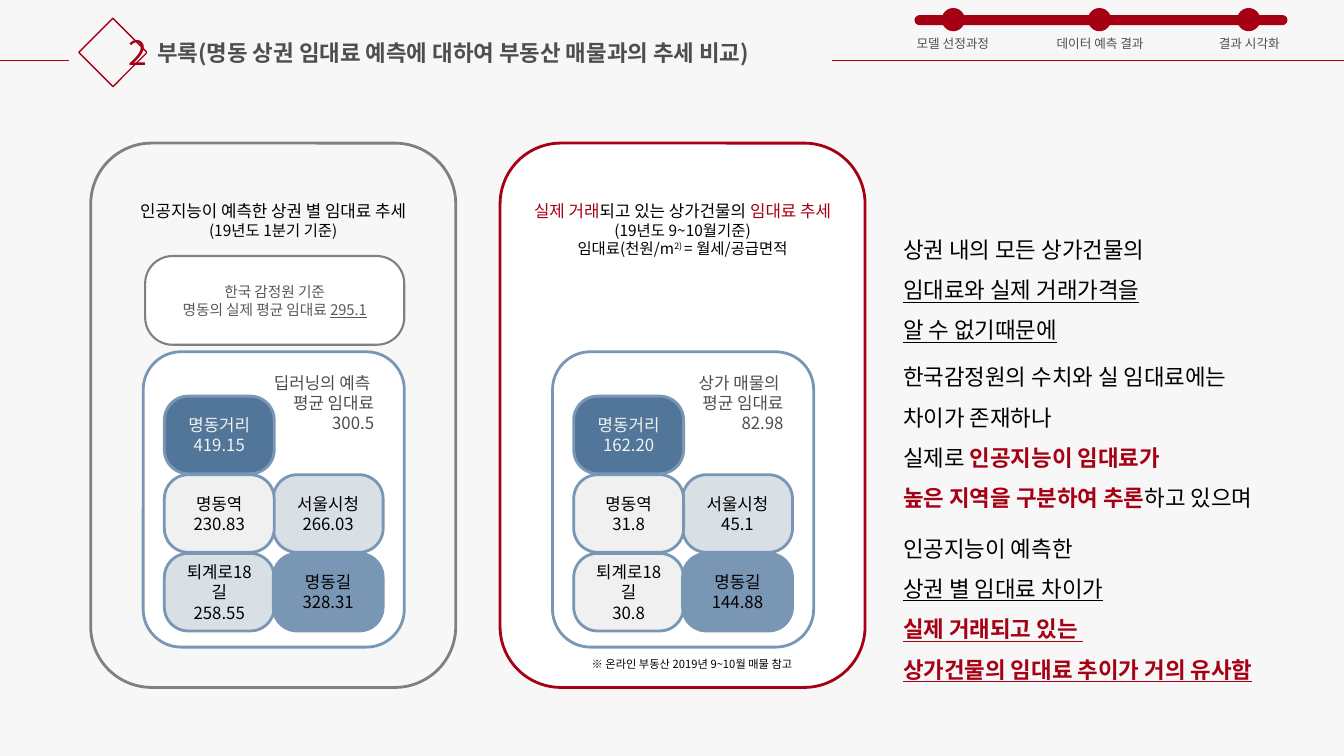
from lxml.etree import SubElement
from pptx import Presentation
from pptx.dml.color import RGBColor
from pptx.enum.shapes import MSO_CONNECTOR, MSO_SHAPE
from pptx.enum.text import MSO_ANCHOR, PP_ALIGN
from pptx.oxml.ns import qn
from pptx.util import Emu, Pt

PX = 9144  # 100 px to the inch
FONT = "Noto Sans CJK KR"
RED, GRAY, BLUE = "A60014", "4E4E4E", "7997B5"
BLACK, WHITE, PAPER = "000000", "FFFFFF", "F7F7F7"
NAVY, PALE, MIST = "517699", "D8E0E6", "F0F0F0"
CENTER, RIGHT = PP_ALIGN.CENTER, PP_ALIGN.RIGHT


def color(value):
    return RGBColor.from_string(value)


def px(*lengths):
    return [Emu(length * PX) for length in lengths]


def add_span(para, text, size, ink, bold=False, underline=False, raised=False):
    span = para.add_run()
    span.text = text
    font = span.font
    font.name, font.size, font.bold, font.underline = FONT, Pt(size), bold, underline
    font.color.rgb = color(ink)
    properties = span._r.get_or_add_rPr()
    SubElement(properties, qn("a:ea")).set("typeface", FONT)
    if raised:
        properties.set("baseline", "30000")


def write(box, lines, size, ink, align=PP_ALIGN.LEFT, anchor=MSO_ANCHOR.TOP,
          spacing=None, gaps=None, wrap=True):
    """Each line is a string or a list of (text, style) spans."""
    frame = box.text_frame
    frame.word_wrap, frame.vertical_anchor = wrap, anchor
    for index, line in enumerate(lines):
        para = frame.add_paragraph() if index else frame.paragraphs[0]
        para.alignment = align
        if spacing:
            para.line_spacing = spacing
        if gaps and index in gaps:
            para.space_before = Pt(gaps[index])
        for text, style in [(line, {})] if isinstance(line, str) else line:
            add_span(para, text, **{"size": size, "ink": ink, **style})


def add_text(page, area, lines, size, ink, **layout):
    write(page.shapes.add_textbox(*px(*area)), lines, size, ink, **layout)


def add_box(page, kind, area, fill=None, line=None, width=2, corner=None):
    box = page.shapes.add_shape(kind, *px(*area))
    box.shadow.inherit = False
    if fill:
        box.fill.solid()
        box.fill.fore_color.rgb = color(fill)
    else:
        box.fill.background()
    if line:
        box.line.color.rgb = color(line)
        box.line.width = Pt(width)
    else:
        box.line.fill.background()
    if corner is not None:
        box.adjustments[0] = corner
    return box


def add_rule(page, start, end, y):
    rule = page.shapes.add_connector(MSO_CONNECTOR.STRAIGHT, *px(start, y, end, y))
    rule.line.color.rgb = color(RED)
    rule.line.width = Pt(0.5)
    SubElement(rule._element.spPr, qn("a:effectLst"))


def add_header(page, left, top, width):
    # Number in a diamond
    diamond = add_box(page, MSO_SHAPE.RECTANGLE, (left + 88, top + 28, 48, 48), line=RED, width=1)
    diamond.rotation = 45
    add_text(page, (left + 118, top + 27, 52, 50), ["2"], 24, RED)
    # Rules and title
    add_rule(page, left + 317, left + width, top + 60)
    add_rule(page, left, left + 68, top + 60)
    title = add_box(page, MSO_SHAPE.RECTANGLE, (left + 146, top + 34, 679, 37), PAPER)
    write(title, [[("부록(명동 상권 임대료 예측에 대하여 부동산 매물과의 추세 비교)", {"bold": True})]],
          16, GRAY)


def add_progress(page, left, top, width):
    # Track with its three stops
    add_box(page, MSO_SHAPE.ROUNDED_RECTANGLE, (left, top + 7, width, 10), RED, corner=0.5)
    stops = [(27, -21, "모델 선정과정"), (172, 125, "데이터 예측 결과"), (320, 273, "결과 시각화")]
    for dot, label, text in stops:
        add_box(page, MSO_SHAPE.OVAL, (left + dot, top, 23, 23), RED)
        add_text(page, (left + label, top + 23, 118, 30), [text], 9, GRAY, align=CENTER)


def add_panel(page, left, top, fill, line, heading, average, tiles):
    rounded = MSO_SHAPE.ROUNDED_RECTANGLE
    add_box(page, rounded, (left, top, 362, 540), fill, line)
    add_text(page, (left + 2, top + 52, 358, 91), heading, 12, BLACK, align=CENTER)
    # Card with the average rent
    add_box(page, rounded, (left + 52, top + 207, 259, 293), WHITE, BLUE, corner=0.145)
    summary = add_box(page, MSO_SHAPE.RECTANGLE, (left + 88, top + 223, 203, 71), WHITE)
    write(summary, average, 12, GRAY, align=RIGHT)
    # District tiles on a grid of two columns and three rows
    for column, row, name, value, tint, ink in tiles:
        area = (left + 73 + column * 108, top + 251 + row * 78, 109, 77)
        tile = add_box(page, rounded, area, tint, BLUE, corner=0.308)
        write(tile, [name, value], 12, ink, align=CENTER, anchor=MSO_ANCHOR.MIDDLE)


def district_tiles(values, toegye_tint):
    places = [(0, 0, "명동거리", NAVY, "F2F2F2"), (1, 1, "서울시청", PALE, BLACK),
              (0, 2, "퇴계로18길", toegye_tint, BLACK), (1, 2, "명동길", BLUE, BLACK),
              (0, 1, "명동역", MIST, BLACK)]
    return [(column, row, name, value, tint, ink)
            for (column, row, name, tint, ink), value in zip(places, values)]


def add_predicted(page, left, top):
    add_panel(page, left, top, None, "808080",
              ["인공지능이 예측한 상권 별 임대료 추세", [("(19년도 1분기 기준)", {"size": 11})]],
              ["딥러닝의 예측 ", "평균 임대료", "300.5"],
              district_tiles(["419.15", "266.03", "258.55", "328.31", "230.83"], PALE))
    # Official average
    official = add_box(page, MSO_SHAPE.ROUNDED_RECTANGLE, (left + 54, top + 112, 257, 88),
                       WHITE, "808080", 1.5, 0.308)
    write(official, ["한국 감정원 기준",
                     [("명동의 실제 평균 임대료 ", {}), ("295.1", {"underline": True})]],
          10.5, "595959", align=CENTER, anchor=MSO_ANCHOR.MIDDLE)


def add_traded(page, left, top):
    red, small = {"ink": RED}, {"size": 11}
    add_panel(page, left, top, WHITE, RED,
              [[("실제 거래", red), ("되고 있는 상가건물의 ", {}), ("임대료 추세", red)],
               [("(19년도 9~10월기준)", small)],
               [("임대료(천원/m", small), ("2) ", {"size": 11, "raised": True}),
                ("= 월세/공급면적", small)]],
              ["상가 매물의 ", "평균 임대료", "82.98"],
              district_tiles(["162.20", "45.1", "30.8", "144.88", "31.8"], MIST))
    add_text(page, (left + 81, top + 505, 239, 24),
             ["※ 온라인 부동산 2019년 9~10월 매물 참고"], 8, BLACK, wrap=False)


def add_conclusion(page, left, top):
    under, strong = {"underline": True}, {"ink": RED, "bold": True}
    lines = ["상권 내의 모든 상가건물의",
             [("임대료와 실제 거래가격을", under)],
             [("알 수 없기때문에", under)],
             "한국감정원의 수치와 실 임대료에는",
             "차이가 존재하나",
             [("실제로 ", {}), ("인공지능이 임대료가", strong)],
             [("높은 지역을 구분하여 추론", strong), ("하고 있으며", {})],
             "인공지능이 예측한",
             [("상권 별 임대료 차이가", under)],
             [("실제 거래되고 있는 ", {**strong, **under})],
             [("상가건물의 임대료 추이가 거의 유사함", {**strong, **under})]]
    add_text(page, (left, top, 414, 466), lines, 16, BLACK, spacing=1.5, gaps={3: 4.8, 7: 7.2})


def main():
    deck = Presentation()
    deck.slide_width, deck.slide_height = px(1333, 750)
    page = deck.slides.add_slide(deck.slide_layouts[6])
    page.background.fill.solid()
    page.background.fill.fore_color.rgb = color(PAPER)
    add_header(page, 0, 0, 1333)
    add_progress(page, 907, 8, 370)
    add_predicted(page, 90, 142)
    add_traded(page, 496, 142)
    add_conclusion(page, 886, 216)
    deck.save("out.pptx")


if __name__ == "__main__":
    main()
